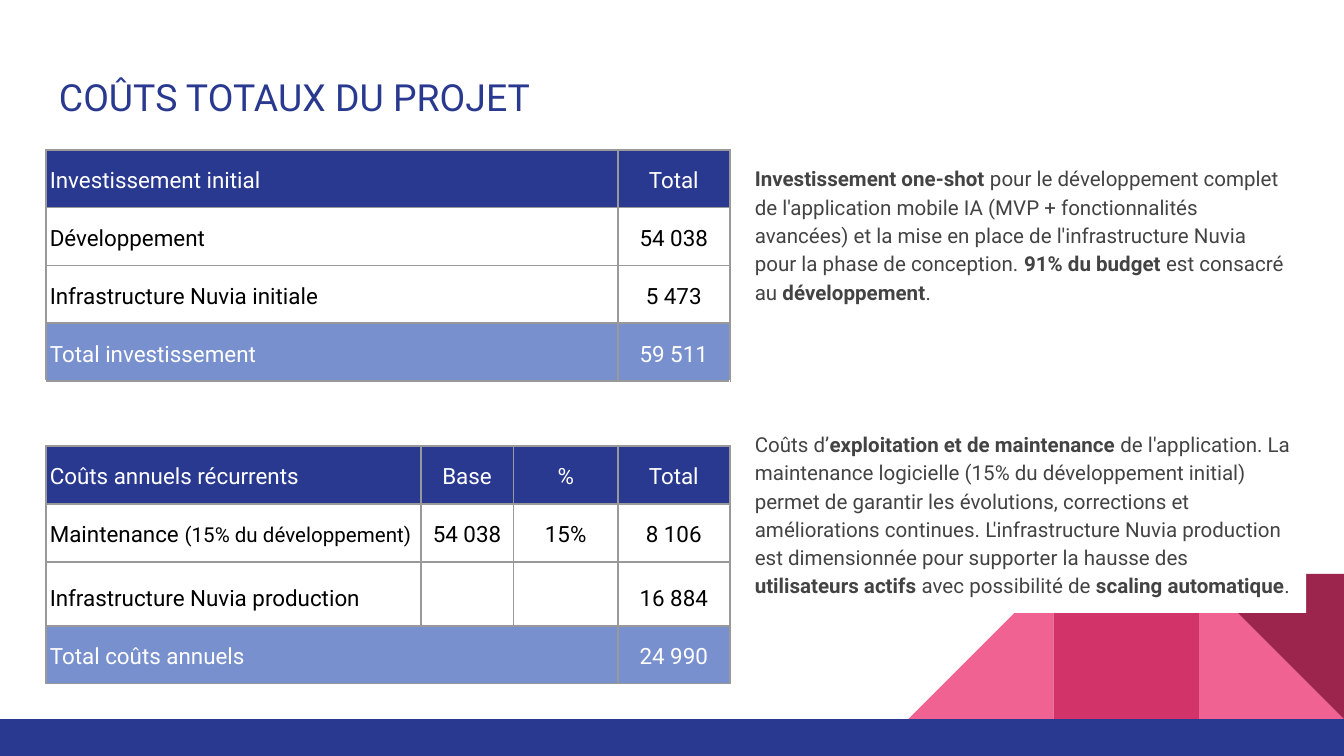
import pptx
import pptx.dml.color
import pptx.enum.shapes
import pptx.enum.text
import pptx.oxml
import pptx.oxml.ns
import pptx.util

Pt = pptx.util.Pt
SHAPES = pptx.enum.shapes.MSO_SHAPE
ALIGN = pptx.enum.text.PP_ALIGN
ANCHOR = pptx.enum.text.MSO_ANCHOR

FONT = "Roboto"
NAVY, BLUE, GREY = "2A3990", "7890CD", "999999"
WHITE, BLACK, TEXT = "FFFFFF", "000000", "434343"
THICK, THIN = 1.13, 0.75
LINE_SPACING = 1.15

ROW_STYLES = {
    "header": (NAVY, WHITE),
    "body": (None, BLACK),
    "total": (BLUE, WHITE),
    "gap": (None, BLACK),
}
COLUMN_WIDTHS = [200.9, 49.7, 56, 59.8]
COST_ROWS = [
    ("header", 30.4, [("Investissement initial", 12)], ["Total"]),
    ("body", 30.4, [("Développement", 12)], ["54 038"]),
    ("body", 30.4, [("Infrastructure Nuvia initiale", 12)], ["5 473"]),
    ("total", 30.4, [("Total investissement", 12)], ["59 511"]),
    ("gap", 34.8, [], []),
    ("header", 30.4, [("Coûts annuels récurrents", 12)], ["Base", "%", "Total"]),
    ("body", 30.4, [("Maintenance ", 12), ("(15% du développement)", 11)],
     ["54 038", "15%", "8 106"]),
    ("body", 34.3, [("Infrastructure Nuvia production", 12)], ["", "", "16 884"]),
    ("total", 30.4, [("Total coûts annuels", 12)], ["24 990"]),
]
COMMENTS = [
    [
        ("Investissement one-shot", True),
        (" pour le développement complet de l'application mobile IA (MVP + "
         "fonctionnalités avancées) et la mise en place de l'infrastructure "
         "Nuvia pour la phase de conception. ", False),
        ("91% du budget", True),
        (" est consacré au ", False),
        ("développement", True),
        (".", False),
    ],
    [
        ("Coûts d’", False),
        ("exploitation et de maintenance", True),
        (" de l'application. La maintenance logicielle (15% du développement "
         "initial) permet de garantir les évolutions, corrections et "
         "améliorations continues. L'infrastructure Nuvia production est "
         "dimensionnée pour supporter la hausse des ", False),
        ("utilisateurs actifs", True),
        (" avec possibilité de ", False),
        ("scaling automatique", True),
        (".", False),
    ],
]


def rgb(value):
    return pptx.dml.color.RGBColor.from_string(value)


def add_run(paragraph, text, size, color, bold=False):
    run = paragraph.add_run()
    run.text = text
    run.font.name = FONT
    run.font.size = Pt(size)
    run.font.bold = bold
    run.font.color.rgb = rgb(color)


def set_margins(frame, horizontal, vertical):
    frame.margin_left = frame.margin_right = Pt(horizontal)
    frame.margin_top = frame.margin_bottom = Pt(vertical)


def add_block(slide, kind, left, top, width, height, color, rotation=0):
    shape = slide.shapes.add_shape(kind, Pt(left), Pt(top), Pt(width), Pt(height))
    shape.shadow.inherit = False
    shape.fill.solid()
    shape.fill.fore_color.rgb = rgb(color)
    shape.line.fill.background()
    shape.rotation = rotation
    return shape


def add_decoration(slide):
    side, bar_top = 77.8, 385.2
    top = bar_top - side
    left, middle, right = (720 - side * count for count in (3, 2, 1))
    for kind, x, color, rotation in [
        (SHAPES.RIGHT_TRIANGLE, right, "F06292", 0),
        (SHAPES.RIGHT_TRIANGLE, left, "F06292", 270),
        (SHAPES.RECTANGLE, middle, "D23369", 0),
        (SHAPES.RIGHT_TRIANGLE, right, "9C254D", 180),
    ]:
        add_block(slide, kind, x, top, side, side, color, rotation)
    add_block(slide, SHAPES.RECTANGLE, 0, bar_top, 720, 405 - bar_top, NAVY)


def add_title(slide):
    box = slide.shapes.add_textbox(Pt(24.5), Pt(32.4), Pt(671), Pt(47.5))
    frame = box.text_frame
    frame.word_wrap = True
    set_margins(frame, 7.2, 7.2)
    add_run(frame.paragraphs[0], "COÛTS TOTAUX DU PROJET", 20, NAVY)


def set_borders(cell, borders):
    properties = cell._tc.get_or_add_tcPr()
    for side, (color, width) in zip("LRTB", borders):
        properties.append(pptx.oxml.parse_xml(
            f'<a:ln{side} {pptx.oxml.ns.nsdecls("a")} w="{Pt(width)}">'
            f'<a:solidFill><a:srgbClr val="{color}"/></a:solidFill></a:ln{side}>'
        ))


def cell_borders(row, column, style, merged):
    thick, thin, hidden = (GREY, THICK), (GREY, THIN), (WHITE, THIN)
    left = right = top = bottom = thick
    if style == "gap":
        left = right = hidden
    elif merged and column == 3:
        left = thin
    elif merged:
        right = thin
    if row == 1:
        bottom = thin
    if row == 2:
        top = thin
    return left, right, top, bottom


def fill_cell(cell, runs, fill, color, alignment):
    set_margins(cell, 2.2, 7.2)
    cell.vertical_anchor = ANCHOR.BOTTOM
    if fill:
        cell.fill.solid()
        cell.fill.fore_color.rgb = rgb(fill)
    else:
        cell.fill.background()
    paragraph = cell.text_frame.paragraphs[0]
    paragraph.font.size = Pt(12)
    paragraph.alignment = alignment
    paragraph.line_spacing = LINE_SPACING
    for text, size in runs:
        if text:
            add_run(paragraph, text, size, color)


def add_cost_table(slide):
    heights = [row[1] for row in COST_ROWS]
    frame = slide.shapes.add_table(
        len(COST_ROWS), len(COLUMN_WIDTHS), Pt(24.5), Pt(80.2),
        Pt(sum(COLUMN_WIDTHS)), Pt(sum(heights)))
    table = frame.table
    table.first_row = table.horz_banding = False
    for column, width in zip(table.columns, COLUMN_WIDTHS):
        column.width = Pt(width)
    for index, (style, height, label, values) in enumerate(COST_ROWS):
        table.rows[index].height = Pt(height)
        label_span = len(COLUMN_WIDTHS) - len(values)
        empty = [[]] * (label_span - 1)
        contents = [label] + empty + [[(value, 12)] for value in values]
        fill, color = ROW_STYLES[style]
        for column, runs in enumerate(contents):
            cell = table.cell(index, column)
            set_borders(cell, cell_borders(index, column, style, label_span > 1))
            alignment = ALIGN.CENTER if column else ALIGN.LEFT
            fill_cell(cell, runs, fill, color, alignment)
        if label_span > 1:
            table.cell(index, 0).merge(table.cell(index, label_span - 1))


def add_comments(slide):
    shape = add_block(slide, SHAPES.RECTANGLE, 397.3, 80, 302.4, 248.4, WHITE)
    frame = shape.text_frame
    frame.word_wrap = True
    frame.vertical_anchor = ANCHOR.TOP
    set_margins(frame, 7.2, 7.2)
    for index, runs in enumerate(COMMENTS):
        paragraph = frame.add_paragraph() if index else frame.paragraphs[0]
        paragraph.alignment = ALIGN.LEFT
        paragraph.line_spacing = LINE_SPACING
        if index:
            paragraph.space_before = Pt(66.4)
        for text, bold in runs:
            add_run(paragraph, text, 11, TEXT, bold)


def main():
    presentation = pptx.Presentation()
    presentation.slide_width = Pt(720)
    presentation.slide_height = Pt(405)
    slide = presentation.slides.add_slide(presentation.slide_layouts[6])
    add_decoration(slide)
    add_title(slide)
    add_cost_table(slide)
    add_comments(slide)
    presentation.save("out.pptx")


if __name__ == "__main__":
    main()
